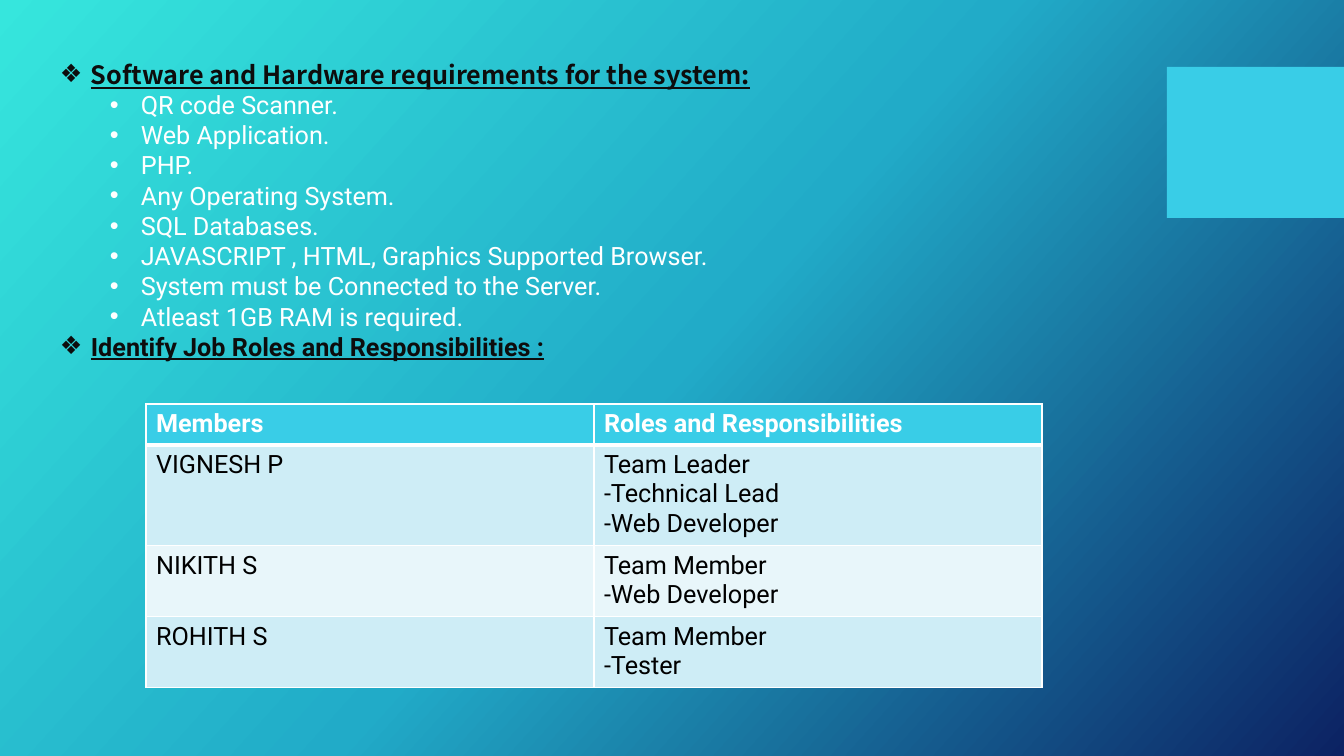
from dataclasses import dataclass

from lxml import etree
from pptx import Presentation
from pptx.dml.color import RGBColor
from pptx.enum.shapes import MSO_SHAPE
from pptx.oxml.ns import qn
from pptx.util import Pt

RECTANGLE = MSO_SHAPE.RECTANGLE
PIXEL = 12192000 / 1344
BLANK_LAYOUT = 6


@dataclass(frozen=True)
class Theme:
    """Colours, fonts and type sizes of the slide."""
    gradient: tuple = ((0, "36E6DD"), (50, "21ABC8"), (100, "0C2263"))
    gradient_angle: int = 42
    accent: str = "39CDE7"
    bands: tuple = ("CEEDF6", "E8F6FA")
    heading: str = "0D0D0D"
    light: str = "FFFFFF"
    dark: str = "000000"
    font: str = "Roboto"
    title_font: str = "Noto Sans CJK TC"
    bullet_font: str = "Arial"
    size: int = 18


THEME = Theme()
HEADING = {"bold": True, "underline": True}
PLAIN = {"bold": False, "underline": False}

OUTLINE = (
    ("Software and Hardware requirements for the system:", THEME.title_font, (
        "QR code Scanner.",
        "Web Application.",
        "PHP.",
        "Any Operating System.",
        "SQL Databases.",
        "JAVASCRIPT , HTML, Graphics Supported Browser.",
        "System must be Connected to the Server.",
        "Atleast 1GB RAM is required.",
    )),
    ("Identify Job Roles and Responsibilities :", THEME.font, ()),
)
ROLES = (
    ("Members", "Roles and Responsibilities"),
    ("VIGNESH P", "Team Leader\n-Technical Lead\n-Web Developer"),
    ("NIKITH S", "Team Member\n-Web Developer"),
    ("ROHITH S", "Team Member\n-Tester"),
)


def px(value):
    """Turn pixels into EMU."""
    return round(value * PIXEL)


def add_element(parent, tag, **attributes):
    """Append a DrawingML element with the given attributes."""
    element = etree.SubElement(parent, qn(tag))
    for name, value in attributes.items():
        element.set(name, str(value))
    return element


def format_font(font, color, **values):
    """Apply the theme size, a colour and further font values."""
    font.size = Pt(THEME.size)
    font.color.rgb = RGBColor.from_string(color)
    for name, value in values.items():
        setattr(font, name, value)


def paint_background(slide):
    """Fill the slide with the diagonal gradient."""
    fill = slide.background.fill
    fill.gradient()
    gradient = slide.background._cSld.find(".//" + qn("a:gradFill"))
    for child in list(gradient):
        gradient.remove(child)
    stops = add_element(gradient, "a:gsLst")
    for position, color in THEME.gradient:
        stop = add_element(stops, "a:gs", pos=position * 1000)
        add_element(stop, "a:srgbClr", val=color)
    add_element(gradient, "a:lin", ang=THEME.gradient_angle * 60000, scaled=0)


def add_accent_block(slide, box):
    """Draw the plain block at the right edge."""
    shape = slide.shapes.add_shape(RECTANGLE, *map(px, box))
    shape.shadow.inherit = False
    shape.fill.solid()
    shape.fill.fore_color.rgb = RGBColor.from_string(THEME.accent)
    shape.line.fill.background()


def add_bullet(paragraph, character, margin, hanging):
    """Give a paragraph a bullet and a hanging indent."""
    properties = paragraph._p.get_or_add_pPr()
    properties.set("marL", str(px(margin)))
    properties.set("indent", str(-px(hanging)))
    add_element(properties, "a:buFont", typeface=THEME.bullet_font)
    add_element(properties, "a:buChar", char=character)


def add_outline(slide, box, sections, hanging=31, step=50):
    """Write headings with their bulleted items."""
    frame = slide.shapes.add_textbox(*map(px, box)).text_frame
    frame.word_wrap = True
    lines = []
    for heading, font, items in sections:
        lines.append((heading, 0, "❖", THEME.heading, font, HEADING))
        lines += [(item, 1, "•", THEME.light, THEME.font, PLAIN) for item in items]
    for index, (text, level, bullet, color, font, style) in enumerate(lines):
        paragraph = frame.add_paragraph() if index else frame.paragraphs[0]
        paragraph.level = level
        add_bullet(paragraph, bullet, hanging + level * step, hanging)
        run = paragraph.add_run()
        run.text = text
        format_font(run.font, color, name=font, **style)


def add_borders(cell, widths):
    """Draw light borders of the given widths in points around a cell."""
    properties = cell._tc.get_or_add_tcPr()
    for index, (side, width) in enumerate(widths.items()):
        line = etree.Element(qn("a:ln" + side), w=str(Pt(width)))
        fill = add_element(line, "a:solidFill")
        add_element(fill, "a:srgbClr", val=THEME.light)
        properties.insert(index, line)


def add_roles_table(slide, box, rows, heights):
    """Build the table of members and roles."""
    columns = len(rows[0])
    table = slide.shapes.add_table(len(rows), columns, *map(px, box)).table
    for column in table.columns:
        column.width = px(box[2] / columns)
    for index, (texts, height) in enumerate(zip(rows, heights)):
        header = index == 0
        table.rows[index].height = px(height)
        color = THEME.light if header else THEME.dark
        background = THEME.accent if header else THEME.bands[(index - 1) % 2]
        widths = {"L": 1, "R": 1, "T": 3 if index == 1 else 1, "B": 3 if header else 1}
        for cell, text in zip(table.rows[index].cells, texts):
            cell.text = text
            cell.fill.solid()
            cell.fill.fore_color.rgb = RGBColor.from_string(background)
            add_borders(cell, widths)
            for paragraph in cell.text_frame.paragraphs:
                for run in paragraph.runs:
                    format_font(run.font, color, name=THEME.font, bold=header)


def build_requirements_slide(presentation):
    """Place all parts of the requirements slide."""
    slide = presentation.slides.add_slide(presentation.slide_layouts[BLANK_LAYOUT])
    paint_background(slide)
    add_accent_block(slide, (1167, 67, 177, 151))
    add_outline(slide, (50, 54, 838, 316), OUTLINE)
    add_roles_table(slide, (146, 404, 896, 283), ROLES, (41, 100, 71, 71))


def main():
    """Create and save the presentation."""
    presentation = Presentation()
    presentation.slide_width = px(1344)
    presentation.slide_height = px(756)
    build_requirements_slide(presentation)
    presentation.save("out.pptx")


main()
